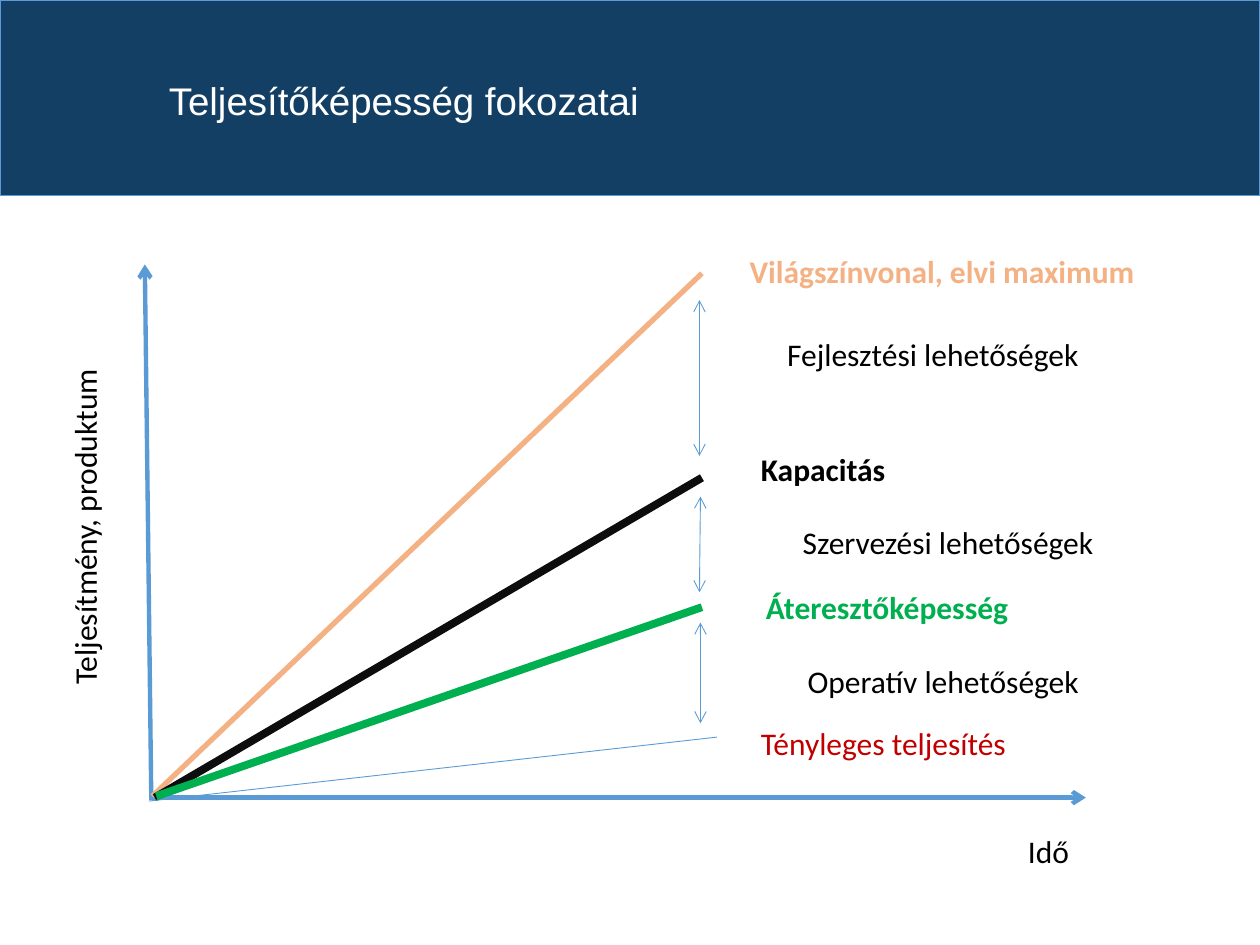
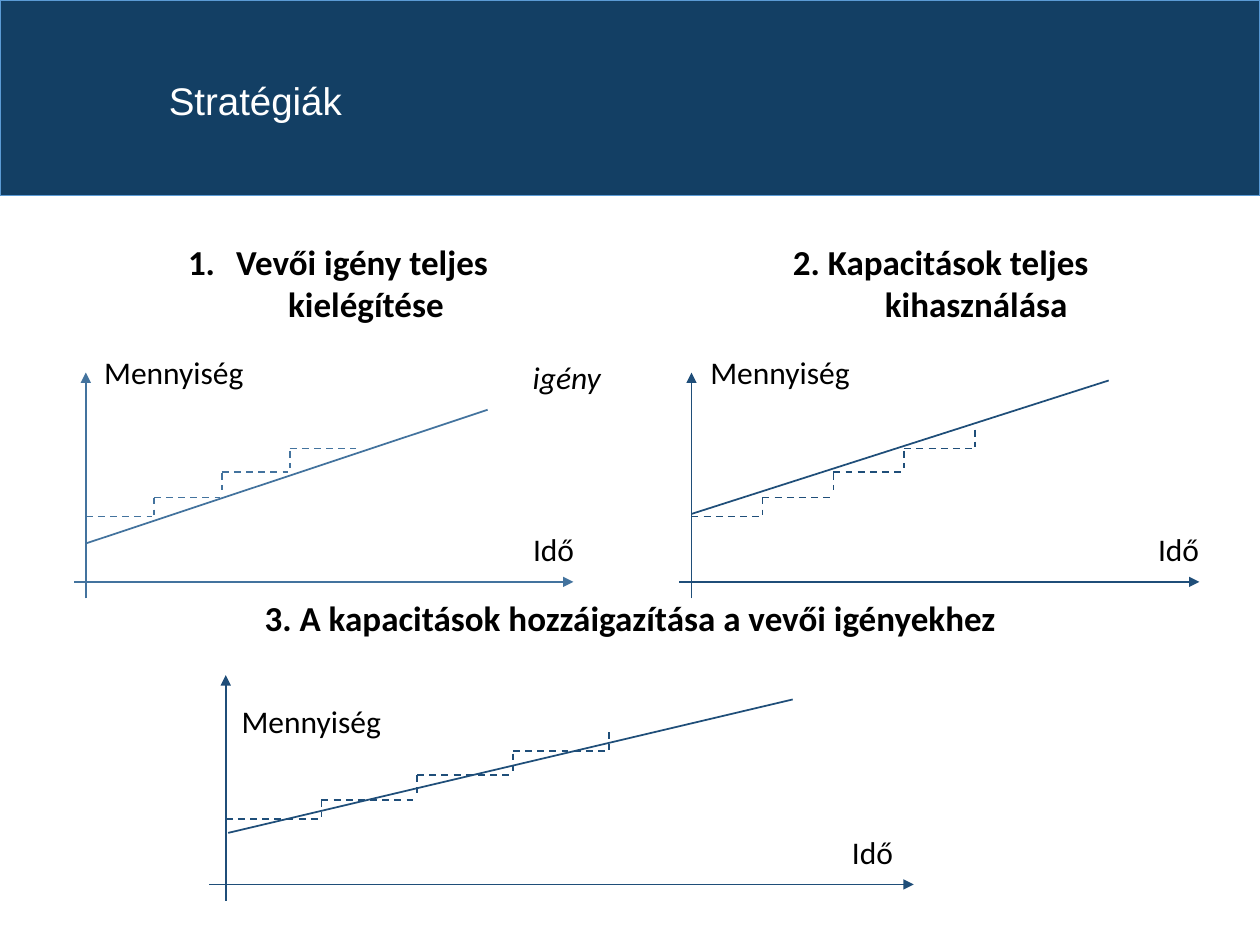
import pptx
import pptx.util
import pptx.dml.color
import pptx.enum.dml
import pptx.enum.shapes
import pptx.enum.text
import pptx.oxml
import pptx.oxml.ns
from lxml import etree

Cm, Pt = pptx.util.Cm, pptx.util.Pt
ALIGN = pptx.enum.text.PP_ALIGN
qn = pptx.oxml.ns.qn

COLORS = {
    "band": "133F64", "accent": "5B9BD5", "white": "FFFFFF", "text": "000000",
    "maximum": "F4B183", "capacity": "0D0D0D", "throughput": "00B050",
    "actual": "C00000", "steel": "43739E", "navy": "1F4E79",
}

AXES = [((3.05, 16.13), (2.92, 5.33)), ((3.05, 16.08), (21.89, 16.08))]
LEVEL_LINES = [
    ((3.07, 16.05), (14.15, 5.51), "maximum", 3),
    ((3.12, 16.08), (14.15, 9.63), "capacity", 4.5),
    ((3.15, 16.05), (14.15, 12.24), "throughput", 4.5),
    ((3, 16.15), (14.45, 14.86), "accent", 0.5),
]
GAP_ARROWS = [
    ((14.1, 6.05), (14.1, 9.19)),
    ((14.12, 10.01), (14.1, 11.94)),
    ((14.12, 12.55), (14.12, 14.58)),
]
LEVEL_LABELS = [
    ("Világszínvonal, elvi maximum", 14.86, 4.95, "maximum", True),
    ("Kapacitás", 15.09, 8.94, "text", True),
    ("Áteresztőképesség", 15.19, 11.73, "throughput", True),
    ("Tényleges teljesítés", 15.09, 14.48, "actual", False),
]
GAP_LABELS = [
    ("Fejlesztési lehetőségek", 15.62, 6.63),
    ("Szervezési lehetőségek", 15.93, 10.41),
    ("Operatív lehetőségek", 16.03, 13.23),
]

STRATEGIES = [
    dict(color="steel", x=1.73, base=11.73, left=1.5, right=11.56, step=1.37, risers=3,
         demand=((1.75, 10.95), (9.83, 8.26)), quantity=(1.78, 6.99), time=(10.46, 10.57)),
    dict(color="navy", x=13.94, base=11.73, left=13.69, right=24.18, step=1.43, risers=4,
         demand=((13.94, 10.36), (22.35, 7.67)), quantity=(14, 6.99), time=(23.06, 10.57)),
    dict(color="navy", x=4.55, base=17.83, left=4.22, right=18.42, step=1.93, risers=4,
         demand=((4.6, 16.79), (15.98, 14.1)), quantity=(4.55, 14.02), time=(16.89, 16.66)),
]
TREAD_HEIGHTS = [1.32, 1.7, 2.21, 2.69]
RISER_FEET = [1.35, 1.85, 2.29, 2.72]
RISER_LENGTH = 0.35
HEADINGS = [
    ("Vevői igény teljes \nkielégítése", (1.09, 4.72, 11.61, 1.96), 0.97, True),
    ("2. Kapacitások teljes \nkihasználása", (13.89, 4.72, 10.31, 1.96), 1.27, False),
    ("3. A kapacitások hozzáigazítása a vevői igényekhez", (4.5, 11.91, 16.41, 1.12), 1.27, False),
]


def rgb(name):
    return pptx.dml.color.RGBColor.from_string(COLORS[name])


def style_runs(p, size, color, font="Calibri", bold=False, italic=False):
    for r in p.runs:
        r.font.size, r.font.name = Pt(size), font
        r.font.bold, r.font.italic = bold, italic
        r.font.color.rgb = rgb(color)


def add_text(s, text, box, color="text", size=18, align=ALIGN.LEFT, wrap=True, **style):
    sp = s.shapes.add_textbox(*map(Cm, box))
    tf = sp.text_frame
    tf.word_wrap = wrap
    tf.auto_size = pptx.enum.text.MSO_AUTO_SIZE.SHAPE_TO_FIT_TEXT
    p = tf.paragraphs[0]
    p.text = text
    p.alignment = align
    style_runs(p, size, color, **style)
    return sp


def add_line(s, start, end, color, width=1.0, head=None, tail=None, dashed=False):
    cn = s.shapes.add_connector(pptx.enum.shapes.MSO_CONNECTOR.STRAIGHT,
                                *map(Cm, (*start, *end)))
    cn.line.color.rgb = rgb(color)
    cn.line.width = Pt(width)
    if dashed:
        cn.line.dash_style = pptx.enum.dml.MSO_LINE.DASH
    spPr = cn.element.spPr
    ln = spPr.find(qn("a:ln"))
    for tag, kind in (("a:headEnd", head), ("a:tailEnd", tail)):
        if kind:
            etree.SubElement(ln, qn(tag), type=kind)
    etree.SubElement(spPr, qn("a:effectLst"))


def add_band(prs, s, layout):
    sp = s.shapes.add_shape(pptx.enum.shapes.MSO_SHAPE.RECTANGLE, 0, 0, prs.slide_width, Cm(3.95))
    sp.shadow.inherit = False
    sp.fill.solid()
    sp.fill.fore_color.rgb = rgb("band")
    sp.line.color.rgb = rgb("accent")
    sp.line.width = Pt(0.5)
    layout.shapes.element.insert(2, sp.element)


def add_slide(prs, layout, title):
    s = prs.slides.add_slide(layout)
    sp = s.shapes.title
    sp.left, sp.top, sp.width, sp.height = map(Cm, (3.15, 1.02, 20.5, 2.13))
    tf = sp.text_frame
    tf.text = title
    tf.vertical_anchor = pptx.enum.text.MSO_ANCHOR.MIDDLE
    p = tf.paragraphs[0]
    p.alignment = ALIGN.LEFT
    p.line_spacing = 0.9
    style_runs(p, 22, "white", font="Arial")
    return s


def build_levels(s):
    for start, end in AXES:
        add_line(s, start, end, "accent", 2.5, tail="arrow")
    for start, end, color, width in LEVEL_LINES:
        add_line(s, start, end, color, width)
    for start, end in GAP_ARROWS:
        add_line(s, start, end, "accent", 0.5, head="arrow", tail="arrow")
    add_text(s, "Idő", (14.94, 16.64, 6.86, 1.02), align=ALIGN.RIGHT)
    sp = add_text(s, "Teljesítmény, produktum", (-3.07, 10.11, 9.55, 1.02), align=ALIGN.CENTER)
    sp.rotation = 270
    for text, x, y, color, bold in LEVEL_LABELS:
        add_text(s, text, (x, y, 9.14, 1.02), color, bold=bold)
    for text, x, y in GAP_LABELS:
        add_text(s, text, (x, y, 6.96, 1.02))


def add_strategy(s, color, x, base, left, right, step, risers, demand, quantity, time):
    add_line(s, (left, base), (right, base), color, tail="triangle")
    add_line(s, (x, base + 0.33), (x, base - 4.22), color, tail="triangle")
    add_line(s, *demand, color)
    for i, height in enumerate(TREAD_HEIGHTS):
        start = x + i * step
        add_line(s, (start, base - height), (start + step - 0.03, base - height), color, dashed=True)
    for i, foot in enumerate(RISER_FEET[:risers], 1):
        riser_x, y = x + i * step, base - foot
        add_line(s, (riser_x, y - RISER_LENGTH), (riser_x, y), color, dashed=True)
    add_text(s, "Mennyiség", (*quantity, 3.45, 1.02), align=ALIGN.CENTER, wrap=False)
    add_text(s, "Idő", (*time, 1.4, 1.02), align=ALIGN.CENTER, wrap=False)


def build_strategies(s):
    for strategy in STRATEGIES:
        add_strategy(s, **strategy)
    for text, box, indent, numbered in HEADINGS:
        sp = add_text(s, text, box, size=20, align=ALIGN.CENTER, bold=True)
        pPr = sp.text_frame.paragraphs[0]._p.get_or_add_pPr()
        pPr.set("marL", str(Cm(indent)))
        pPr.set("indent", str(-Cm(indent)))
        if numbered:
            etree.SubElement(pPr, qn("a:buAutoNum"), type="arabicPeriod")
    add_text(s, "igény", (10.49, 7.09, 2.16, 1.02), italic=True)


def main():
    prs = pptx.Presentation()
    prs.slide_width, prs.slide_height = Cm(25.4), Cm(19.05)
    layout = prs.slide_layouts[5]
    s = add_slide(prs, layout, "Teljesítőképesség fokozatai")
    add_band(prs, s, layout)
    build_levels(s)
    build_strategies(add_slide(prs, layout, "Stratégiák"))
    prs.save("out.pptx")


if __name__ == "__main__":
    main()
